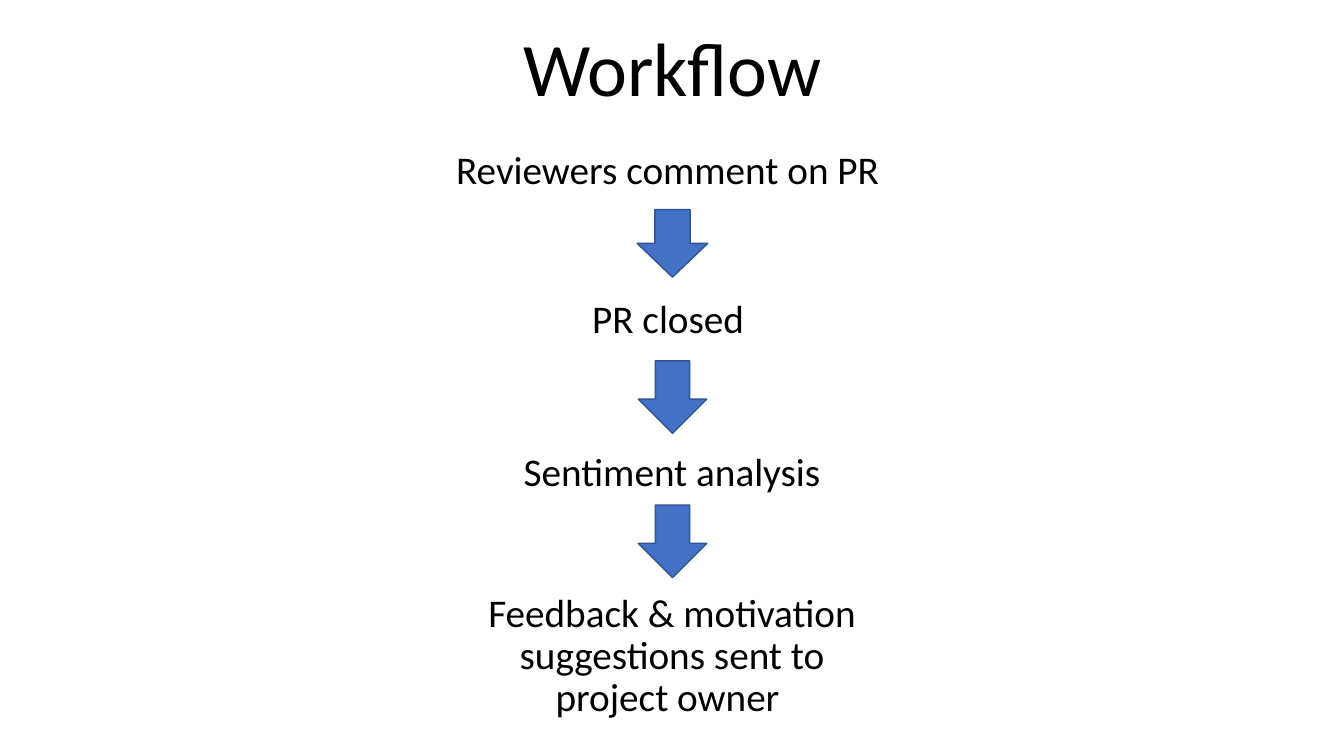
from pptx import Presentation
from pptx import util as u
from pptx.dml import color
from pptx.enum import shapes, text

PX = 9144  # EMU per px, 100 px to the inch


def rgb(value):
    return color.RGBColor.from_string(value)


def add_label(page, words, area, size, anchor):
    box = page.shapes.add_textbox(*(n * PX for n in area))
    frame = box.text_frame
    frame.word_wrap = True
    frame.vertical_anchor = anchor
    frame.text = words
    para = frame.paragraphs[0]
    para.alignment = text.PP_ALIGN.CENTER
    para.line_spacing = 0.9
    para.space_before = u.Pt(0)
    font = para.runs[0].font
    font.name = "Calibri"
    font.size = u.Pt(size)
    font.color.rgb = rgb("000000")


deck = Presentation()
deck.slide_width = 1333 * PX
deck.slide_height = 750 * PX
page = deck.slides.add_slide(deck.slide_layouts[6])

MIDDLE = text.MSO_ANCHOR.MIDDLE
TOP = text.MSO_ANCHOR.TOP

# Title
add_label(page, "Workflow", (92, -1, 1150, 145), 54, MIDDLE)

# Workflow steps
steps = [
    ("Reviewers comment on PR ", (433, 144, 467, 62), TOP),
    ("PR closed ", (489, 287, 356, 63), MIDDLE),
    ("Sentiment analysis", (466, 439, 401, 63), MIDDLE),
    ("Feedback & motivation suggestions sent to project owner ",
     (461, 573, 411, 157), MIDDLE),
]
for words, area, anchor in steps:
    add_label(page, words, area, 28, anchor)

# Arrows between the steps, on one vertical axis
AXIS = 667
for top, width, height in [(208, 70, 67), (358, 68, 72), (501, 68, 72)]:
    arrow = page.shapes.add_shape(
        shapes.MSO_SHAPE.DOWN_ARROW,
        (AXIS - width // 2) * PX, top * PX, width * PX, height * PX)
    arrow.shadow.inherit = False
    arrow.fill.solid()
    arrow.fill.fore_color.rgb = rgb("4472C4")
    arrow.line.color.rgb = rgb("325491")
    arrow.line.width = u.Pt(1)

deck.save("out.pptx")
